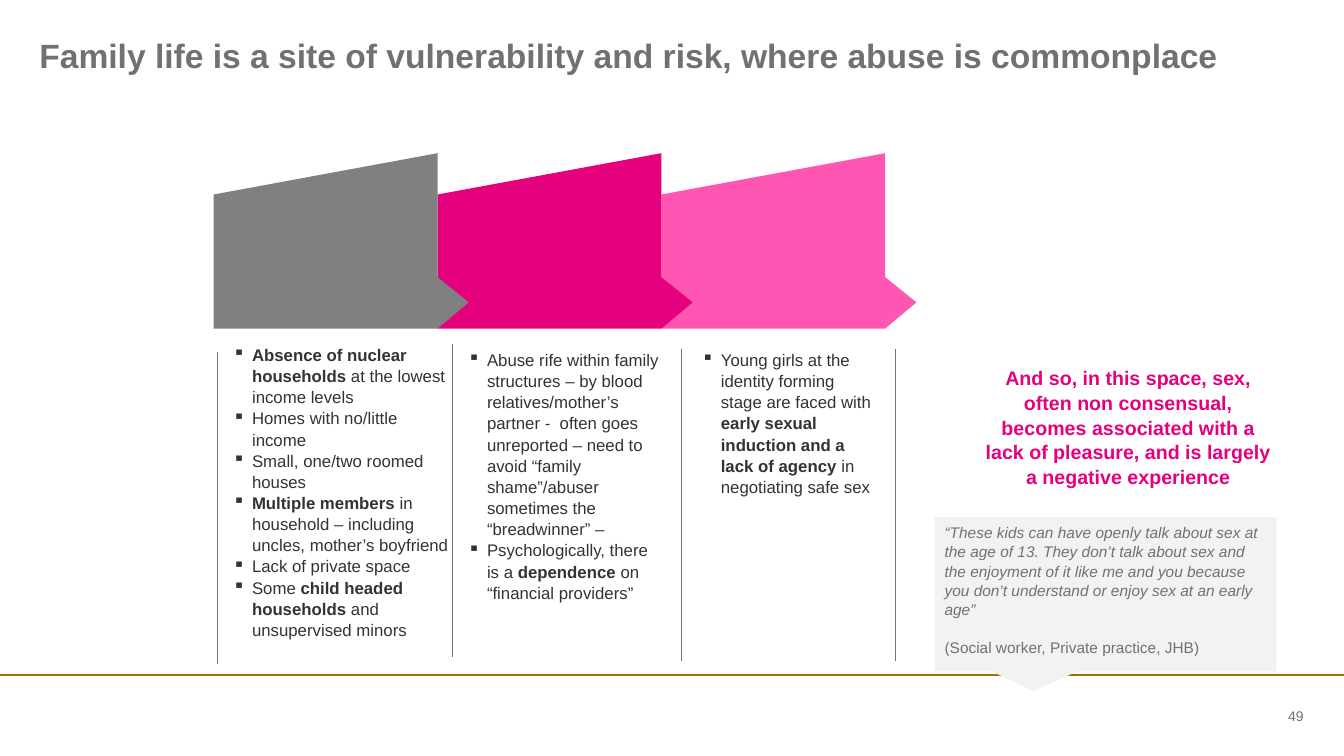
from dataclasses import dataclass

from lxml import etree
from pptx import Presentation
from pptx import util as u
from pptx.dml.color import RGBColor
from pptx.enum import shapes, text
from pptx.oxml import ns

COLORS = {
    "gold": "9E7000",
    "gray": "717171",
    "steel": "808080",
    "magenta": "E5007E",
    "pink": "FF56B3",
    "body": "333333",
    "panel": "F2F2F2",
}
FONT = "Arial"
LINE_SPACING = 1.05

Run = tuple[str, bool]  # wording, bold


@dataclass
class Column:
    left: float
    top: float
    width: float
    bullets: list[list[Run]]


@dataclass
class Rule:
    x: float
    top: float
    bottom: float


@dataclass
class Label:
    left: float
    top: float
    width: float
    height: float
    wording: str
    size: float
    color: str
    bold: bool = False
    align: text.PP_ALIGN = text.PP_ALIGN.LEFT
    anchor: text.MSO_ANCHOR = text.MSO_ANCHOR.TOP


COLUMNS = [
    Column(2.31, 3.41, 2.14, [
        [("Absence of nuclear households ", True), ("at the lowest income levels", False)],
        [("Homes with no/little income", False)],
        [("Small, one/two roomed houses", False)],
        [("Multiple members ", True),
         ("in household – including uncles, mother’s boyfriend", False)],
        [("Lack of private space", False)],
        [("Some ", False), ("child headed households ", True),
         ("and unsupervised minors", False)],
    ]),
    Column(4.64, 3.46, 1.92, [
        [("Abuse rife within family structures – by blood relatives/mother’s partner -  often "
          "goes unreported – need to avoid “family shame”/abuser sometimes the “breadwinner” –",
          False)],
        [("Psychologically, there is a ", False), ("dependence", True),
         (" on “financial providers”", False)],
    ]),
    Column(6.96, 3.46, 1.73, [
        [("Young girls at the identity forming stage are faced with ", False),
         ("early sexual induction and a lack of agency ", True),
         ("in negotiating safe sex", False)],
    ]),
]
RULES = [
    Rule(2.16, 3.49, 6.59),
    Rule(4.49, 3.41, 6.52),
    Rule(6.76, 3.46, 6.56),
    Rule(8.88, 3.46, 6.56),
]
LABELS = [
    Label(0.39, 0.33, 12.54, 0.46,
          "Family life is a site of vulnerability and risk, where abuse is commonplace",
          24, "gray", bold=True),
    Label(11.87, 7, 1.06, 0.2, "49", 10, "gray",
          align=text.PP_ALIGN.RIGHT, anchor=text.MSO_ANCHOR.MIDDLE),
    Label(9.72, 3.62, 2.94, 1.18,
          "And so, in this space, sex, often non consensual, becomes associated with a lack of "
          "pleasure, and is largely a negative experience",
          14, "magenta", bold=True, align=text.PP_ALIGN.CENTER),
]
BANNER_LEFT, BANNER_TOP, BANNER_PITCH = 2.12, 1.52, 2.22
BANNER_COLORS = ["steel", "magenta", "pink"]
BANNER_OUTLINE = [(2.53, 1.48), (2.22, 1.23), (2.22, 0), (0, 0.41), (0, 1.74), (2.22, 1.74)]
QUOTE = ("“These kids can have openly talk about sex at the age of 13. They don’t talk about sex "
         "and the enjoyment of it like me and you because you don’t understand or enjoy sex at "
         "an early age”")
SPEAKER = "(Social worker, Private practice, JHB)"


def rgb(name: str) -> RGBColor:
    return RGBColor.from_string(COLORS[name])


def style(paragraph, size: float, color: str) -> None:
    paragraph.line_spacing = LINE_SPACING
    paragraph.font.name = FONT
    paragraph.font.size = u.Pt(size)
    paragraph.font.color.rgb = rgb(color)


def paint(shape, color: str) -> None:
    shape.shadow.inherit = False
    shape.fill.solid()
    shape.fill.fore_color.rgb = rgb(color)
    shape.line.fill.background()


def add_line(slide, start: tuple[float, float], end: tuple[float, float],
             color: str, width: float) -> None:
    line = slide.shapes.add_connector(
        shapes.MSO_CONNECTOR.STRAIGHT, *map(u.Inches, start + end))
    line.line.color.rgb = rgb(color)
    line.line.width = u.Pt(width)
    etree.SubElement(line._element.spPr, ns.qn("a:effectLst"))


def add_frame(slide, left: float, top: float, width: float, height: float):
    """Add a wrapping text box without margins and return its text frame."""
    frame = slide.shapes.add_textbox(*map(u.Inches, (left, top, width, height))).text_frame
    frame.word_wrap = True
    frame.margin_left = frame.margin_right = frame.margin_top = frame.margin_bottom = 0
    return frame


def add_label(slide, label: Label) -> None:
    frame = add_frame(slide, label.left, label.top, label.width, label.height)
    frame.vertical_anchor = label.anchor
    paragraph = frame.paragraphs[0]
    paragraph.text = label.wording
    paragraph.alignment = label.align
    style(paragraph, label.size, label.color)
    paragraph.font.bold = label.bold


def add_bullet(paragraph) -> None:
    properties = paragraph._p.get_or_add_pPr()
    indent = u.Inches(0.19)
    properties.set("marL", str(indent))
    properties.set("indent", str(-indent))
    etree.SubElement(properties, ns.qn("a:buChar")).set("char", "▪")


def add_column(slide, column: Column) -> None:
    frame = add_frame(slide, column.left, column.top, column.width, 1.04)
    for index, runs in enumerate(column.bullets):
        paragraph = frame.add_paragraph() if index else frame.paragraphs[0]
        add_bullet(paragraph)
        style(paragraph, 12, "body")
        for wording, bold in runs:
            run = paragraph.add_run()
            run.text = wording
            run.font.bold = bold


def add_banner(slide, index: int) -> None:
    left = BANNER_LEFT + index * BANNER_PITCH
    points = [(u.Inches(left + x), u.Inches(BANNER_TOP + y)) for x, y in BANNER_OUTLINE]
    builder = slide.shapes.build_freeform(*points[0])
    builder.add_line_segments(points[1:], close=True)
    paint(builder.convert_to_shape(), BANNER_COLORS[index])


def add_quote(slide) -> None:
    callout = slide.shapes.add_shape(
        shapes.MSO_SHAPE.RECTANGULAR_CALLOUT, *map(u.Inches, (9.27, 5.13, 3.39, 1.53)))
    callout.adjustments[0] = -0.21
    callout.adjustments[1] = 0.63
    paint(callout, "panel")
    frame = callout.text_frame
    frame.word_wrap = True
    frame.vertical_anchor = text.MSO_ANCHOR.TOP
    quote, speaker = frame.paragraphs[0], frame.add_paragraph()
    quote.text, speaker.text = QUOTE, SPEAKER
    for paragraph in (quote, speaker):
        paragraph.alignment = text.PP_ALIGN.LEFT
        style(paragraph, 11, "gray")
    quote.font.italic = True
    speaker.space_before = u.Pt(13.3)


def main() -> None:
    presentation = Presentation()
    presentation.slide_width = u.Inches(13.33)
    presentation.slide_height = u.Inches(7.5)
    slide = presentation.slides.add_slide(presentation.slide_layouts[6])
    add_line(slide, (0, 6.7), (13.33, 6.7), "gold", 1.5)
    for index in reversed(range(len(BANNER_COLORS))):
        add_banner(slide, index)
    for column in COLUMNS:
        add_column(slide, column)
    for rule in RULES:
        add_line(slide, (rule.x, rule.top), (rule.x, rule.bottom), "gray", 0.75)
    for label in LABELS:
        add_label(slide, label)
    add_quote(slide)
    presentation.save("out.pptx")


if __name__ == "__main__":
    main()
